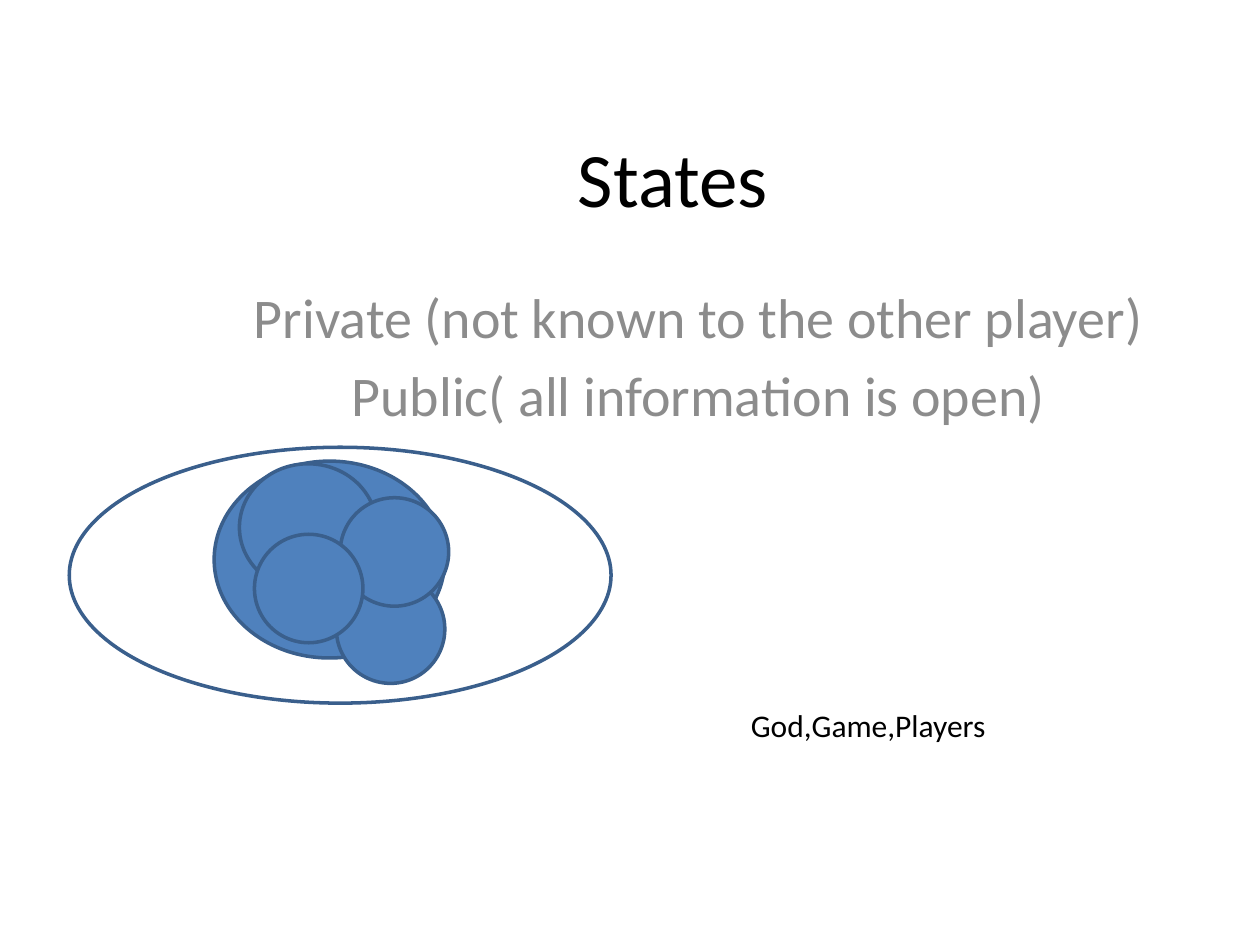
"""Build the "States" slide with its nested state circles."""
from pptx import Presentation
from pptx import util as u
from pptx.dml.color import RGBColor
from pptx.enum import shapes, text

FONT = "Calibri"
BLACK = RGBColor(0x00, 0x00, 0x00)
GRAY = RGBColor(0x8C, 0x8C, 0x8C)
BLUE = RGBColor(0x4F, 0x81, 0xBD)
DARK_BLUE = RGBColor(0x3A, 0x5F, 0x8C)
SMALL = 62


def add_ellipse(slide, left, top, width, height, fill=BLUE):
    shape = slide.shapes.add_shape(
        shapes.MSO_SHAPE.OVAL, u.Pt(left), u.Pt(top), u.Pt(width), u.Pt(height))
    shape.shadow.inherit = False
    if fill is None:
        shape.fill.background()
    else:
        shape.fill.solid()
        shape.fill.fore_color.rgb = fill
    shape.line.color.rgb = DARK_BLUE
    shape.line.width = u.Pt(2)


def add_text(slide, box, lines, size, color=BLACK, align=text.PP_ALIGN.CENTER,
             anchor=text.MSO_ANCHOR.TOP, space_before=0):
    shape = slide.shapes.add_textbox(*(u.Pt(length) for length in box))
    frame = shape.text_frame
    frame.word_wrap = True
    frame.vertical_anchor = anchor
    frame.text = "\n".join(lines)
    for paragraph in frame.paragraphs:
        paragraph.alignment = align
        paragraph.space_before = u.Pt(space_before)
        paragraph.font.name = FONT
        paragraph.font.size = u.Pt(size)
        paragraph.font.color.rgb = color
    return frame


def main():
    presentation = Presentation()
    presentation.slide_width, presentation.slide_height = u.Pt(720), u.Pt(540)
    slide = presentation.slides.add_slide(presentation.slide_layouts[6])

    add_ellipse(slide, 122.4, 263.5, 131.8, 112.5)
    add_ellipse(slide, 136.8, 265, 78.5, 72.7)
    add_text(slide, (78.5, 43.2, 612, 116), ["States"], 44,
             anchor=text.MSO_ANCHOR.MIDDLE)
    add_text(slide, (108, 157.7, 582.5, 138),
             ["Private (not known to the other player)",
              "Public( all information is open)"],
             32, GRAY, space_before=6.4)
    for left, top in ((192.2, 328.5), (194.4, 284.4), (145.4, 305.3)):
        add_ellipse(slide, left, top, SMALL, SMALL)
    caption = add_text(slide, (422, 399.6, 244, 29), ["God,Game,Players"], 18,
                       align=text.PP_ALIGN.LEFT)
    caption.auto_size = text.MSO_AUTO_SIZE.SHAPE_TO_FIT_TEXT
    add_ellipse(slide, 39.6, 255.6, 309.6, 146.2, fill=None)

    presentation.save("out.pptx")


if __name__ == "__main__":
    main()
